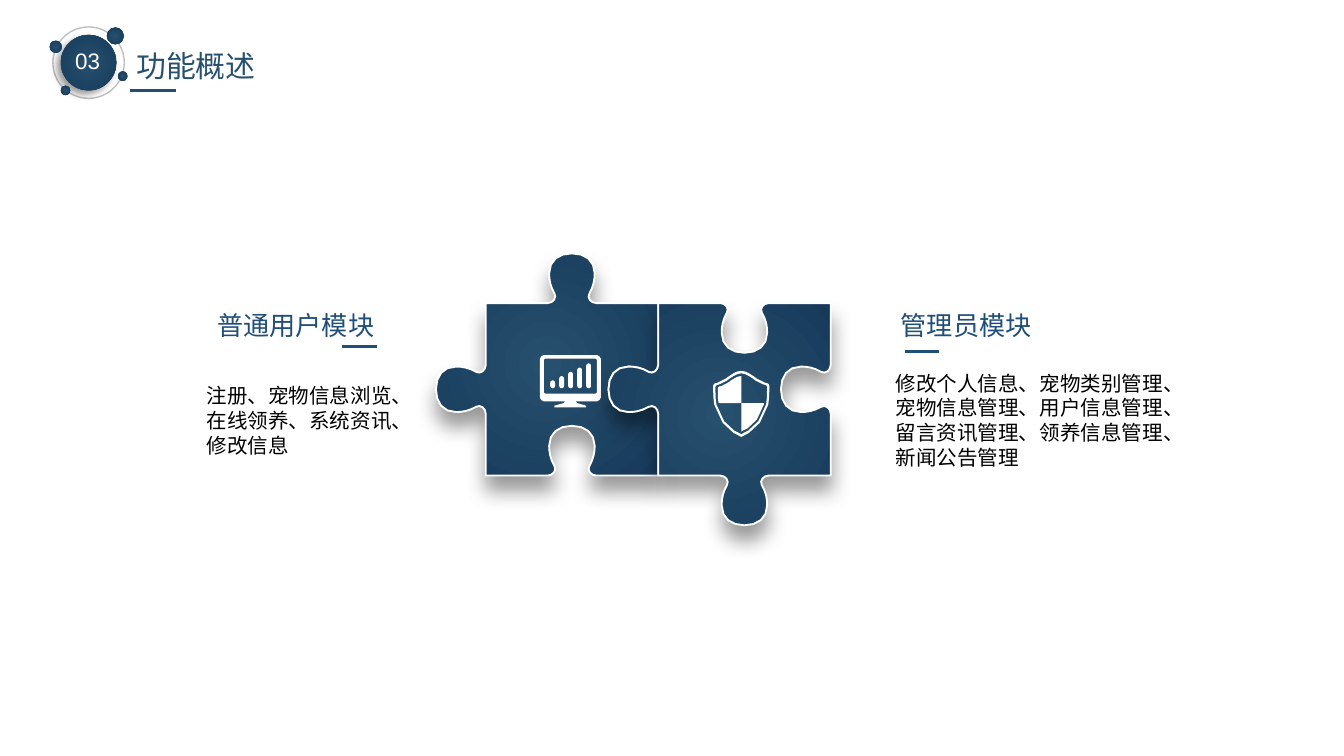
from math import copysign, cos, radians, sin

from lxml.etree import SubElement
from pptx import Presentation
from pptx.dml.color import RGBColor
from pptx.enum.shapes import MSO_CONNECTOR, MSO_SHAPE
from pptx.enum.text import MSO_ANCHOR as ANCHOR, MSO_AUTO_SIZE as AUTO, PP_ALIGN as ALIGN
from pptx.oxml.ns import qn
from pptx.util import Cm, Pt

COLORS = {"light": "27506E", "dark": "173A5B", "blue": "1F4E79",
          "ring": "BFBFBF", "white": "FFFFFF", "black": "000000"}
RGB = {name: RGBColor.from_string(value) for name, value in COLORS.items()}


def smooth_curve(points, steps):
    curve = [points[0]]
    for i in range(0, len(points) - 1, 3):
        a, b, c, d = points[i:i + 4]
        for step in range(1, steps + 1):
            t = step / steps
            u = 1 - t
            curve.append(tuple(u**3 * a[k] + 3 * u * u * t * b[k] + 3 * u * t * t * c[k] + t**3 * d[k]
                               for k in (0, 1)))
    return curve


def paint_radial(shape, shadow=None):
    shape.shadow.inherit = False
    shape.fill.gradient()
    for stop, name in zip(shape.fill.gradient_stops, ("light", "dark")):
        stop.color.rgb = RGB[name]
    properties = shape._element.spPr
    gradient = properties.find(qn("a:gradFill"))
    gradient.remove(gradient.find(qn("a:lin")))
    circle = SubElement(gradient, qn("a:path"), path="circle")
    SubElement(circle, qn("a:fillToRect"), l="50000", t="50000", r="50000", b="50000")
    if shadow:
        blur, distance, angle = shadow
        outer = SubElement(properties.find(qn("a:effectLst")), qn("a:outerShdw"), blurRad=str(Pt(blur)),
                           dist=str(Pt(distance)), dir=str(angle * 60000), algn="ctr", rotWithShape="0")
        tint = SubElement(outer, qn("a:srgbClr"), val=COLORS["black"])
        SubElement(tint, qn("a:alpha"), val="40000")


deck = Presentation()
deck.slide_width, deck.slide_height = Cm(25.4), Cm(14.29)
page = deck.slides.add_slide(deck.slide_layouts.get_by_name("Comparison"))
shapes = page.shapes

ring = shapes.add_shape(MSO_SHAPE.OVAL, Cm(1), Cm(0.51), Cm(1.35), Cm(1.35))
ring.shadow.inherit = False
ring.fill.background()
ring.line.color.rgb = RGB["ring"]
ring.line.width = Pt(0.75)
for left, top, size, shadow in [(1.15, 0.66, 1.05, (4, 3, 135)), (2.02, 0.52, 0.32, None),
                                (0.94, 0.77, 0.23, None), (1.15, 1.62, 0.18, None),
                                (2.23, 1.35, 0.18, None)]:
    disc = shapes.add_shape(MSO_SHAPE.OVAL, Cm(left), Cm(top), Cm(size), Cm(size))
    paint_radial(disc, shadow)
    disc.line.fill.background()

SIDE, PIECE_LEFT, PIECE_TOP = 3.26, 9.18, 5.73
half_knob = smooth_curve([(-0.46, 0), (-0.36, 0), (-0.28, 0.1), (-0.33, 0.18),
                          (-0.41, 0.32), (-0.43, 0.44), (-0.43, 0.56),
                          (-0.43, 0.81), (-0.25, 0.94), (0, 0.94)], 4)
knob = half_knob + [(-x, y) for x, y in half_knob[-2::-1]]
pieces = []
for left, signs in [(PIECE_LEFT, (1, -1, -1, 1)), (PIECE_LEFT + SIDE, (-1, -1, 1, 1))]:
    x, y = left, PIECE_TOP
    outline = []
    for (dx, dy), sign in zip([(1, 0), (0, 1), (-1, 0), (0, -1)], signs):
        outline.append((x, y))
        for along, out in knob:
            reach = SIDE / 2 + along
            outline.append((x + dx * reach + dy * sign * out, y + dy * reach - dx * sign * out))
        x, y = x + dx * SIDE, y + dy * SIDE
    pieces.append(outline)

MONITOR_X = 10.78
monitor = []
for half_width, half_height, radius, middle in [(0.48, 0.34, 0.1, 7.15), (0.47, 0.3, 0.03, 7.11)]:
    angles = [radians(15 + 30 * i) for i in range(12)]
    monitor.append([(MONITOR_X + copysign(half_width, cos(a)) + radius * cos(a),
                     middle + copysign(half_height, sin(a)) + radius * sin(a)) for a in angles])
stand = [(0.1, 7.59), (0.13, 7.62), (0.3, 7.67), (0.3, 7.7)]
monitor.append([(MONITOR_X + x, y) for x, y in stand] + [(MONITOR_X - x, y) for x, y in stand[::-1]])

SHIELD_X, SHIELD_Y = 14.01, 7.62
half_shield = smooth_curve([(0, -0.61), (0.08, -0.61), (0.15, -0.56), (0.23, -0.51),
                            (0.28, -0.46), (0.36, -0.43), (0.46, -0.38),
                            (0.5, -0.38), (0.53, -0.36), (0.53, -0.33),
                            (0.53, -0.21), (0.53, -0.09), (0.51, 0.03),
                            (0.41, 0.46), (0.08, 0.61), (0, 0.64)], 3)
whole_shield = half_shield + [(-x, y) for x, y in half_shield[-2:0:-1]]
shield = [[(SHIELD_X + x * scale, SHIELD_Y + y * scale) for x, y in whole_shield] for scale in (1, 0.92)]
quarters = []
for sign in (-1, 1):
    rim = [(x * 0.84, y * 0.84) for x, y in half_shield if y * sign >= 0]
    edge = [(0, 0)] + rim + [(0.43, 0)] if sign < 0 else [(0, 0), (0.43, 0)] + rim
    quarters.append([(SHIELD_X + sign * x, SHIELD_Y + y) for x, y in edge])

drawings = [([pieces[0]], True), (monitor, False), ([pieces[1]], True), (shield, False)]
drawings += [([quarter], False) for quarter in quarters]
for contours, is_piece in drawings:
    first = contours[0][0]
    builder = shapes.build_freeform(Cm(first[0]), Cm(first[1]))
    for contour in contours:
        points = [(Cm(x), Cm(y)) for x, y in contour]
        if contour is not contours[0]:
            builder.move_to(*points[0])
        builder.add_line_segments(points[1:], close=True)
    figure = builder.convert_to_shape()
    if is_piece:
        paint_radial(figure, (11, 8, 90))
        figure.line.color.rgb = RGB["white"]
        figure.line.width = Pt(1)
    else:
        figure.shadow.inherit = False
        figure.fill.solid()
        figure.fill.fore_color.rgb = RGB["white"]
        figure.line.fill.background()

details = [(MSO_SHAPE.OVAL, 11.1, 7.52, 0.03, 0.03), (MSO_SHAPE.ROUNDED_RECTANGLE, 11.14, 7.52, 0.13, 0.03)]
for i in range(5):
    height = 0.15 + 0.08 * i
    details.append((MSO_SHAPE.ROUNDED_RECTANGLE, 10.4 + 0.17 * i, 7.34 - height, 0.09, height))
for kind, left, top, width, height in details:
    detail = shapes.add_shape(kind, Cm(left), Cm(top), Cm(width), Cm(height))
    if kind == MSO_SHAPE.ROUNDED_RECTANGLE:
        detail.adjustments[0] = 0.5
    detail.shadow.inherit = False
    detail.fill.solid()
    detail.fill.fore_color.rgb = RGB["white"]
    detail.line.fill.background()

for start, end, y in [(6.47, 7.12, 6.55), (17.1, 17.75, 6.65), (2.46, 3.32, 1.71)]:
    rule = shapes.add_connector(MSO_CONNECTOR.STRAIGHT, Cm(start), Cm(y), Cm(end), Cm(y))
    rule.line.color.rgb = RGB["blue"]
    rule.line.width = Pt(1.5)
    SubElement(rule._element.spPr, qn("a:effectLst"))

title, left_head, left_list, right_head, right_list = page.placeholders
number = shapes.add_textbox(Cm(1.17), Cm(0.76), Cm(0.97), Cm(0.76))
texts = [
    (number, "03", (1.17, 0.76, 0.97, 0.76), 12, "white", ALIGN.LEFT, False),
    (title, "功能概述", (2.32, 0.78, 2.77, 0.94), 16, "light", ALIGN.CENTER, False),
    (left_head, "普通用户模块", (1.41, 5.72, 5.92, 0.86), 14, "blue", ALIGN.RIGHT, True),
    (left_list, "注册、宠物信息浏览、在线领养、系统资讯、修改信息",
     (3.65, 7.12, 4.6, 1.65), 11, "black", ALIGN.LEFT, True),
    (right_head, "管理员模块", (16.77, 5.73, 5.92, 0.86), 14, "blue", ALIGN.LEFT, True),
    (right_list, "修改个人信息、宠物类别管理、宠物信息管理、用户信息管理、留言资讯管理、领养信息管理、新闻公告管理",
     (16.67, 6.88, 5.92, 2.13), 11, "black", ALIGN.LEFT, True),
]
for box, words, place, size, color, align, wrap in texts:
    box.left, box.top, box.width, box.height = [Cm(length) for length in place]
    frame = box.text_frame
    frame.text = words
    frame.auto_size = AUTO.NONE
    frame.word_wrap = wrap
    frame.vertical_anchor = ANCHOR.TOP
    para = frame.paragraphs[0]
    para.alignment = align
    para.space_before = Pt(0)
    layout = para._p.get_or_add_pPr()
    layout.set("marL", "0")
    layout.set("indent", "0")
    SubElement(layout, qn("a:buNone"))
    span = para.runs[0]
    span.font.name = "Arial"
    span.font.size = Pt(size)
    span.font.bold = False
    span.font.color.rgb = RGB[color]

deck.save("out.pptx")
